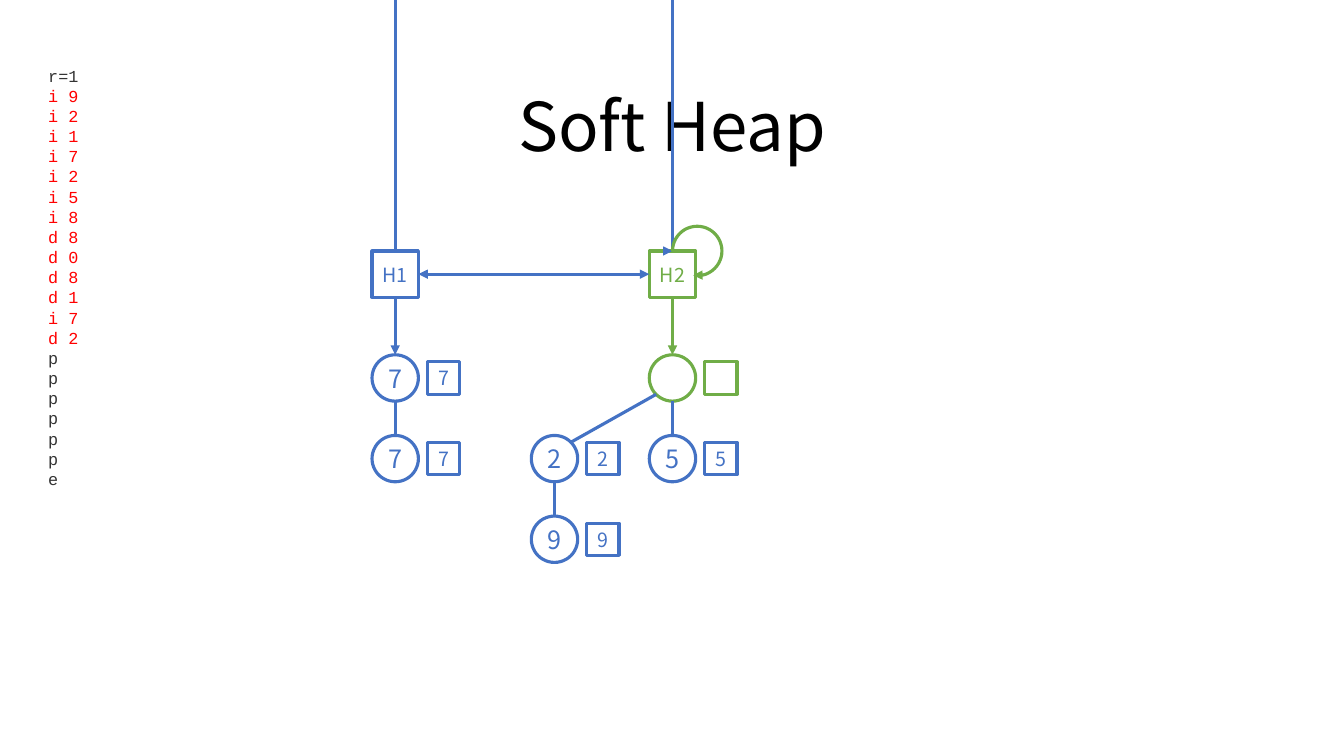
from math import cos, pi
from lxml.etree import SubElement
from pptx import Presentation
from pptx.dml.color import RGBColor
from pptx.enum.shapes import MSO_CONNECTOR, MSO_SHAPE
from pptx.enum.text import MSO_ANCHOR, PP_ALIGN
from pptx.oxml.ns import qn
from pptx.util import Inches, Pt

TITLE = "Soft Heap"
DONE_COMMANDS = ["i 9", "i 2", "i 1", "i 7", "i 2", "i 5", "i 8",
                 "d 8", "d 0", "d 8", "d 1", "i 7", "d 2"]
COMMANDS = ([("r=1", "ink")] + [(command, "done") for command in DONE_COMMANDS]
            + [("p", "ink")] * 6 + [("e", "ink")])
HEADS = [("H1", 0, "blue"), ("H2", 2, "green")]
NODES = [("7", 0, 0, "blue"), ("7", 0, 1, "blue"),
         ("", 2, 0, "green"), ("5", 2, 1, "blue"),
         ("2", 1, 1, "blue"), ("9", 1, 2, "blue")]
EDGES = [((0, 0), (0, 1)), ((2, 0), (2, 1)), ((2, 0), (1, 1)), ((1, 1), (1, 2))]

COLORS = {"blue": "4472C4", "green": "70AD47", "ink": "333333",
          "done": "FF0000", "black": "000000"}
SANS, MONO = "Noto Sans CJK SC", "Courier New"
COLUMNS = [3.92, 5.5, 6.67]
HEAD_Y, TREE_Y, ROW = 2.72, 3.75, 0.8
NODE, KEY, KEY_GAP = 0.46, 0.32, 0.48
RADIUS = NODE / 2
LOOP = 0.49

deck = Presentation()
deck.slide_width, deck.slide_height = Inches(13.33), Inches(7.5)
slide = deck.slides.add_slide(deck.slide_layouts[6])


def color(name):
    return RGBColor.from_string(COLORS[name])


def write(frame, lines, *, size, font=SANS, align=PP_ALIGN.CENTER,
          anchor=MSO_ANCHOR.MIDDLE, spacing=None, wrap=True):
    frame.word_wrap = wrap
    frame.vertical_anchor = anchor
    for index, (text, ink) in enumerate(lines):
        paragraph = frame.add_paragraph() if index else frame.paragraphs[0]
        paragraph.alignment = align
        if spacing:
            paragraph.line_spacing = spacing
        run = paragraph.add_run()
        run.text = text
        run.font.size, run.font.name = Pt(size), font
        run.font.color.rgb = color(ink)


def text_box(left, top, width, height, lines, **style):
    box = slide.shapes.add_textbox(*map(Inches, (left, top, width, height)))
    write(box.text_frame, lines, **style)


def outline(kind, center_x, center_y, side, ink):
    shape = slide.shapes.add_shape(
        kind, Inches(center_x - side / 2), Inches(center_y - side / 2),
        Inches(side), Inches(side))
    shape.shadow.inherit = False
    shape.fill.background()
    shape.line.color.rgb, shape.line.width = color(ink), Pt(2.25)
    return shape


def cell(kind, center_x, center_y, side, label, ink, size):
    shape = outline(kind, center_x, center_y, side, ink)
    frame = shape.text_frame
    frame.margin_left = frame.margin_right = 0
    frame.margin_top = frame.margin_bottom = 0
    if label:
        write(frame, [(label, ink)], size=size, wrap=False)


def add_arrowheads(line, ends):
    for end in ends:
        SubElement(line.get_or_add_ln(), qn("a:" + end), type="triangle")


def connect(start, finish, ink, ends=()):
    link = slide.shapes.add_connector(
        MSO_CONNECTOR.STRAIGHT, *map(Inches, (*start, *finish)))
    link.line.color.rgb, link.line.width = color(ink), Pt(2.25)
    add_arrowheads(link, ends)
    SubElement(link._element.spPr, qn("a:effectLst"))


def node_center(column, row):
    return COLUMNS[column], TREE_Y + row * ROW


text_box(3.68, 0.71, 5.97, 0.99, [(TITLE, "black")], size=48,
         anchor=MSO_ANCHOR.BOTTOM, spacing=0.9)
text_box(0.38, 0.6, 1.21, 4.34, COMMANDS, size=12, font=MONO,
         align=PP_ALIGN.LEFT, anchor=MSO_ANCHOR.TOP, spacing=Pt(14.4))

for label, column, row, ink in NODES:
    x, y = node_center(column, row)
    cell(MSO_SHAPE.OVAL, x, y, NODE, label, ink, 18)
    cell(MSO_SHAPE.RECTANGLE, x + KEY_GAP, y, KEY, label, ink, 14)

for parent, child in EDGES:
    (x1, y1), (x2, y2) = node_center(*parent), node_center(*child)
    if x1 == x2:
        connect((x1, y1 + RADIUS), (x2, y2 - RADIUS), "blue")
    else:
        inset = RADIUS * cos(pi / 4)
        connect((x1 - inset, y1 + inset), (x2 + inset, y2 - inset), "blue")

head_top = HEAD_Y - RADIUS
for label, column, ink in HEADS:
    x = COLUMNS[column]
    cell(MSO_SHAPE.RECTANGLE, x, HEAD_Y, NODE, label, ink, 14)
    connect((x, HEAD_Y + RADIUS), (x, TREE_Y - RADIUS), ink, ["tailEnd"])
    connect((x, 0), (x, head_top), "blue")

first_x, last_x = COLUMNS[0], COLUMNS[-1]
connect((first_x + RADIUS, HEAD_Y), (last_x - RADIUS, HEAD_Y), "blue",
        ["headEnd", "tailEnd"])
connect((last_x - 0.08, head_top), (last_x, head_top), "blue", ["tailEnd"])

self_loop = outline(MSO_SHAPE.ARC, last_x + LOOP / 2, head_top, LOOP, "green")
self_loop.adjustments[0], self_loop.adjustments[1] = 107.31, 59.67
add_arrowheads(self_loop, ["tailEnd"])

deck.save("out.pptx")
